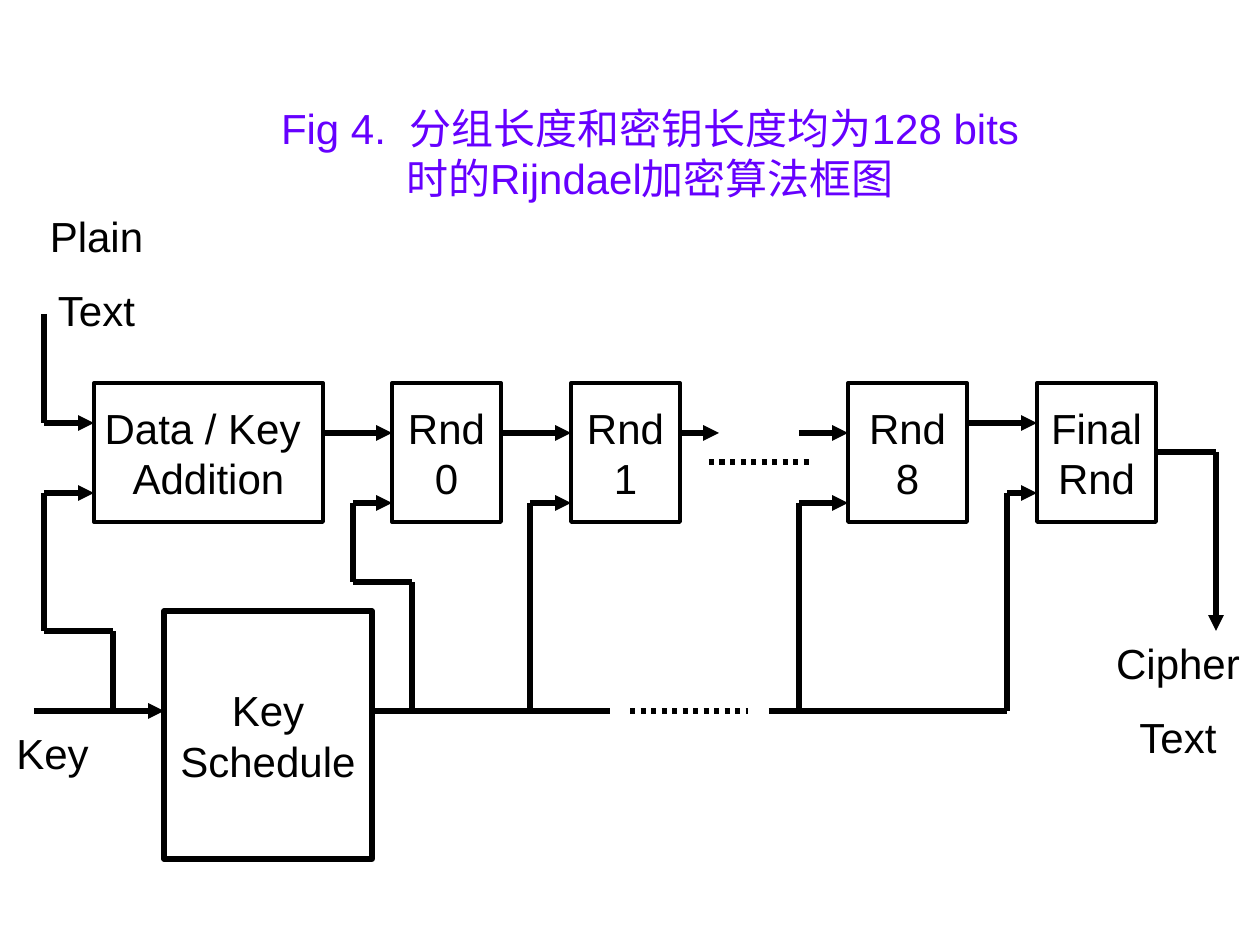
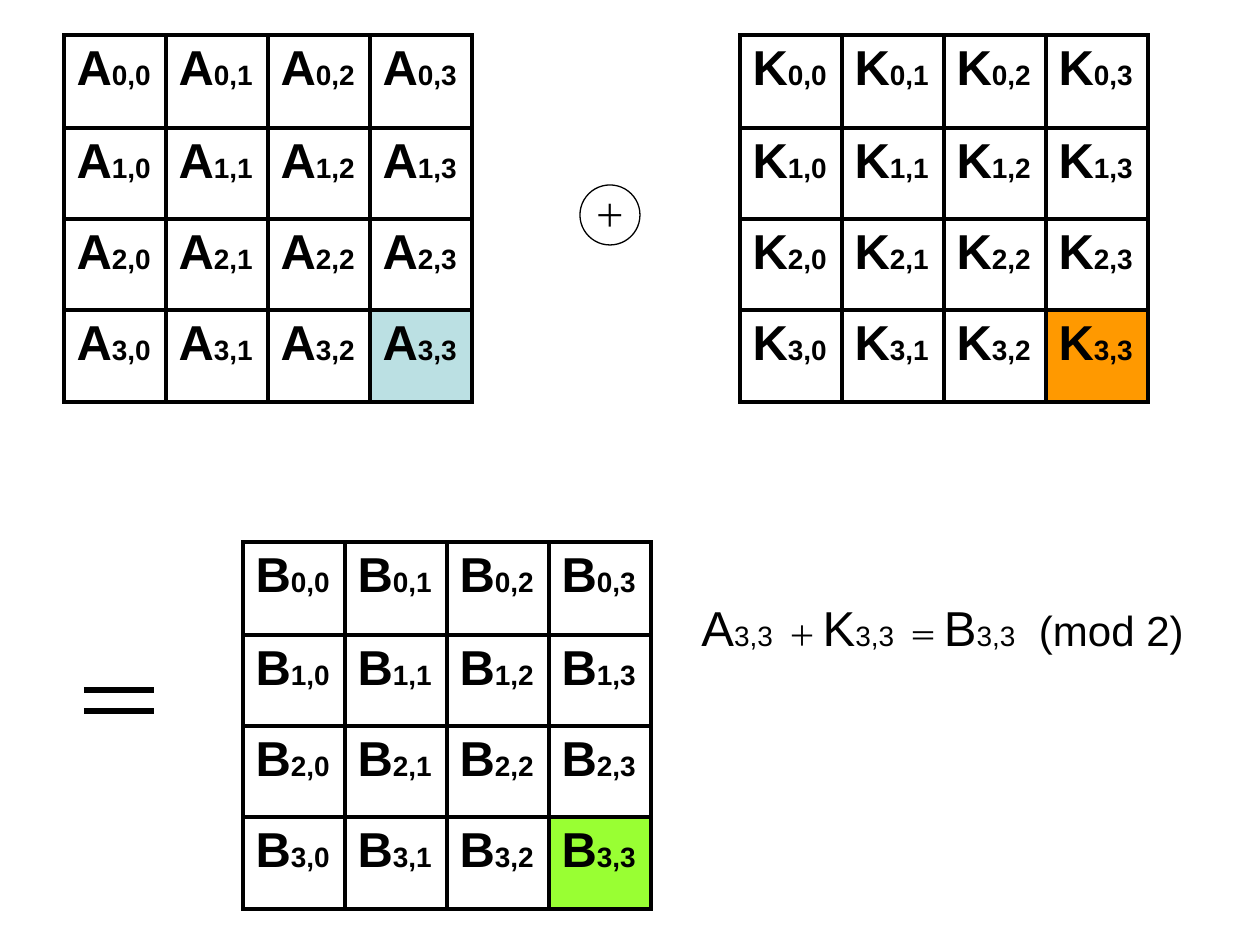
from itertools import pairwise

from lxml import etree
from pptx import Presentation
from pptx.dml.color import RGBColor
from pptx.enum.dml import MSO_LINE
from pptx.enum.shapes import MSO_CONNECTOR, MSO_SHAPE
from pptx.enum.text import MSO_ANCHOR, PP_ALIGN
from pptx.oxml.ns import qn
from pptx.util import Pt

PX = 914400 / 126
FONT = "Arial"
BLACK, WHITE, VIOLET = "000000", "FFFFFF", "6600FF"
BODY = 24  # text size shared by the diagram
BIG, SUB = 28, 16  # matrix letter and its index


def px(*lengths):
    return [round(n * PX) for n in lengths]


def add_runs(p, runs, color=BLACK, bold=False):
    """Each run is (text, size) or (text, size, letter spacing in 1/100 pt)."""
    for text, size, *spacing in runs:
        r = p.add_run()
        r.text = text
        r.font.name, r.font.size, r.font.bold = FONT, Pt(size), bold
        r.font.color.rgb = RGBColor.from_string(color)
        if spacing:
            r.font._element.set("spc", str(spacing[0]))


prs = Presentation()
prs.slide_width, prs.slide_height = px(1260, 945)
diagram, matrices = [prs.slides.add_slide(prs.slide_layouts[6]) for _ in range(2)]

# Slide 1: title and labels; paragraphs are lists of runs
title = [("Fig 4.", BODY), (" ", BODY, 700),
         ("分组长度和密钥长度均为128 bits时的Rijndael加密算法框图", BODY)]
labels = [
    ((263, 96, 774, 113), [title], VIOLET),
    ((0, 204, 193, 139), [[("Plain", BODY)], [("Text", BODY)]], BLACK),
    ((1096, 631, 164, 139), [[("Cipher", BODY)], [("Text", BODY)]], BLACK),
    ((0, 721, 105, 63), [[("Key", BODY)]], BLACK),
]
for place, lines, color in labels:
    tf = diagram.shapes.add_textbox(*px(*place)).text_frame
    tf.word_wrap = True
    for i, runs in enumerate(lines):
        p = tf.add_paragraph() if i else tf.paragraphs[0]
        p.alignment = PP_ALIGN.CENTER
        if i:
            p.space_before = Pt(13.5)
        add_runs(p, runs, color)

# Boxes of the cipher on slide 1 and the XOR sign on slide 2
ROW_Y, ROW_H = 383, 139
RECT = MSO_SHAPE.RECTANGLE
boxes = [
    (diagram, RECT, (94, ROW_Y, 229, ROW_H), ["Data / Key ", "Addition"], BODY, 2.25),
    (diagram, RECT, (392, ROW_Y, 109, ROW_H), ["Rnd", "0"], BODY, 2.25),
    (diagram, RECT, (571, ROW_Y, 109, ROW_H), ["Rnd", "1"], BODY, 2.25),
    (diagram, RECT, (848, ROW_Y, 119, ROW_H), ["Rnd", "8"], BODY, 2.25),
    (diagram, RECT, (1037, ROW_Y, 119, ROW_H), ["Final", "Rnd"], BODY, 2.25),
    (diagram, RECT, (164, 611, 208, 248), ["Key", "Schedule"], BODY, 3),
    (matrices, MSO_SHAPE.OVAL, (580, 185, 60, 60), ["＋"], 18, 0.75),
]
for s, kind, place, lines, size, width in boxes:
    sp = s.shapes.add_shape(kind, *px(*place))
    sp.shadow.inherit = False
    sp.fill.solid()
    sp.fill.fore_color.rgb = RGBColor.from_string(WHITE)
    sp.line.color.rgb = RGBColor.from_string(BLACK)
    sp.line.width = Pt(width)
    tf = sp.text_frame
    tf.word_wrap = False
    tf.vertical_anchor = MSO_ANCHOR.MIDDLE
    for i, text in enumerate(lines):
        p = tf.add_paragraph() if i else tf.paragraphs[0]
        p.alignment = PP_ALIGN.CENTER
        add_runs(p, [(text, size)])

# Lines: corner points and the style of the route
DATA_Y, KEY_Y, BUS_Y = 433, 503, 711
routes = [
    # data path
    (diagram, [(44, 314), (44, 423), (94, 423)], "arrow"),
    (diagram, [(323, DATA_Y), (392, DATA_Y)], "arrow"),
    (diagram, [(501, DATA_Y), (571, DATA_Y)], "arrow"),
    (diagram, [(680, DATA_Y), (719, DATA_Y)], "arrow"),
    (diagram, [(709, 462), (809, 462)], "dots"),
    (diagram, [(799, DATA_Y), (848, DATA_Y)], "arrow"),
    (diagram, [(967, 423), (1037, 423)], "arrow"),
    (diagram, [(1156, 452), (1216, 452), (1216, 631)], "arrow"),
    # key path
    (diagram, [(34, BUS_Y), (164, BUS_Y)], "arrow"),
    (diagram, [(113, BUS_Y), (113, 631), (44, 631), (44, 493), (94, 493)], "arrow"),
    (diagram, [(372, BUS_Y), (610, BUS_Y)], "plain"),
    (diagram, [(630, BUS_Y), (748, BUS_Y)], "dots"),
    (diagram, [(769, BUS_Y), (1007, BUS_Y), (1007, 493), (1037, 493)], "arrow"),
    (diagram, [(412, BUS_Y), (412, 582), (353, 582), (353, KEY_Y), (392, KEY_Y)], "arrow"),
    (diagram, [(530, BUS_Y), (530, KEY_Y), (571, KEY_Y)], "arrow"),
    (diagram, [(799, BUS_Y), (799, KEY_Y), (848, KEY_Y)], "arrow"),
    # equals sign on slide 2
    (matrices, [(84, 690), (154, 690)], "plain"),
    (matrices, [(84, 711), (154, 711)], "plain"),
]
for s, points, style in routes:
    for start, end in pairwise(points):
        line = s.shapes.add_connector(MSO_CONNECTOR.STRAIGHT, *px(*start, *end))
        line.line.color.rgb = RGBColor.from_string(BLACK)
        line.line.width = Pt(3)
        if style == "dots":
            line.line.dash_style = MSO_LINE.ROUND_DOT
        if style == "arrow" and end == points[-1]:
            etree.SubElement(line.line._get_or_add_ln(), qn("a:tailEnd"), type="triangle")
        etree.SubElement(line._element.spPr, qn("a:effectLst"))

# Slide 2: the three 4 x 4 matrices, last cell highlighted
N, COL_W, ROWS = 4, 102, [93, 91, 91, 92]
for letter, x, y, highlight in [("A", 64, 35, "BBE0E3"), ("K", 740, 35, "FF9900"),
                                ("B", 243, 542, "99FF33")]:
    table = matrices.shapes.add_table(N, N, *px(x, y, N * COL_W, sum(ROWS))).table
    table.first_row = table.horz_banding = False
    for i in range(N):
        table.columns[i].width, table.rows[i].height = px(COL_W, ROWS[i])
        for j in range(N):
            cell = table.cell(i, j)
            add_runs(cell.text_frame.paragraphs[0],
                     [(letter, BIG), (f"{i},{j}", SUB)], bold=True)
            tcPr = cell._tc.get_or_add_tcPr()
            for side in ("lnL", "lnR", "lnT", "lnB"):
                ln = etree.SubElement(tcPr, qn(f"a:{side}"), w=str(Pt(2.25)))
                fill = etree.SubElement(ln, qn("a:solidFill"))
                etree.SubElement(fill, qn("a:srgbClr"), val=BLACK)
            if i == j == N - 1:
                cell.fill.solid()
                cell.fill.fore_color.rgb = RGBColor.from_string(highlight)
            else:
                cell.fill.background()

# Formula for the highlighted cells
tf = matrices.shapes.add_textbox(*px(689, 591, 546, 72)).text_frame
tf.word_wrap = True
add_runs(tf.paragraphs[0], [
    ("A", BIG), ("3,3", SUB), (" ", SUB, 450), ("＋ ", SUB),
    ("K", BIG), ("3,3", SUB), (" ", SUB, 450), ("＝ ", SUB),
    ("B", BIG), ("3,3", SUB), (" ", SUB, 900), ("(mod 2)", BODY),
])

prs.save("out.pptx")
